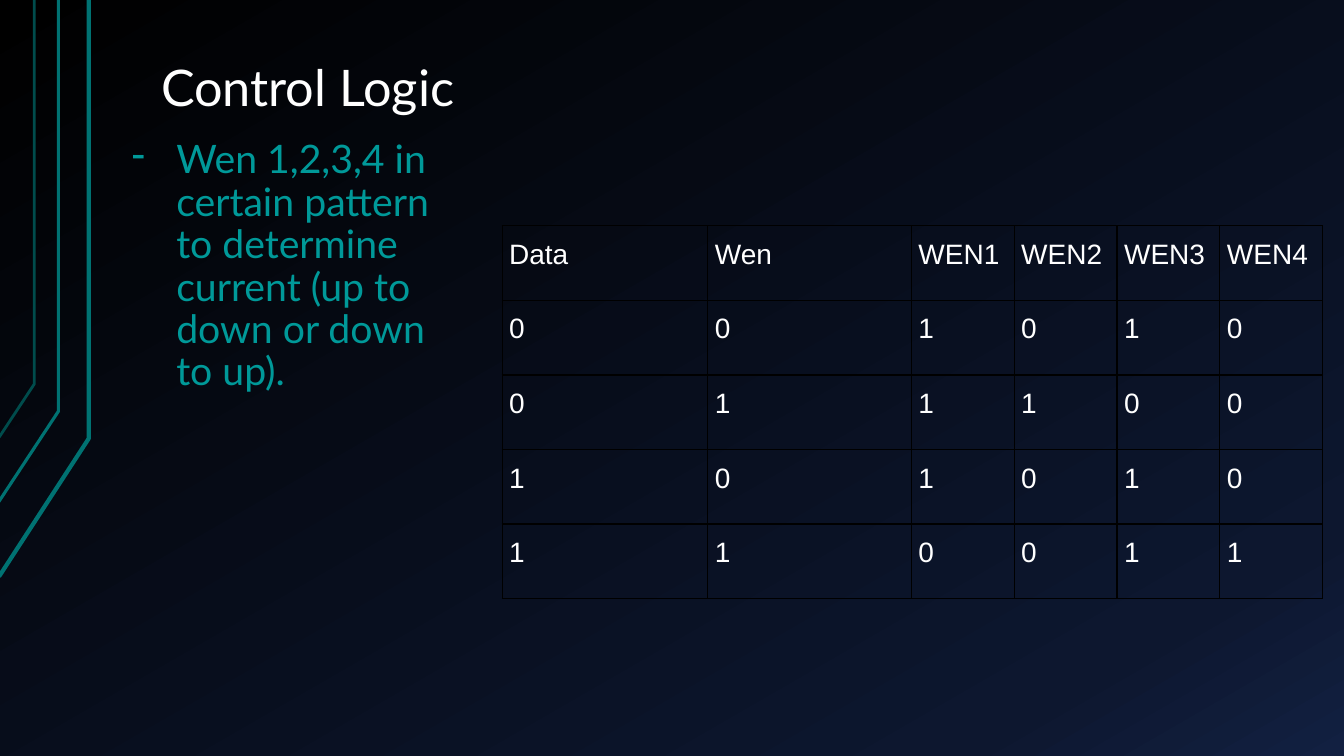
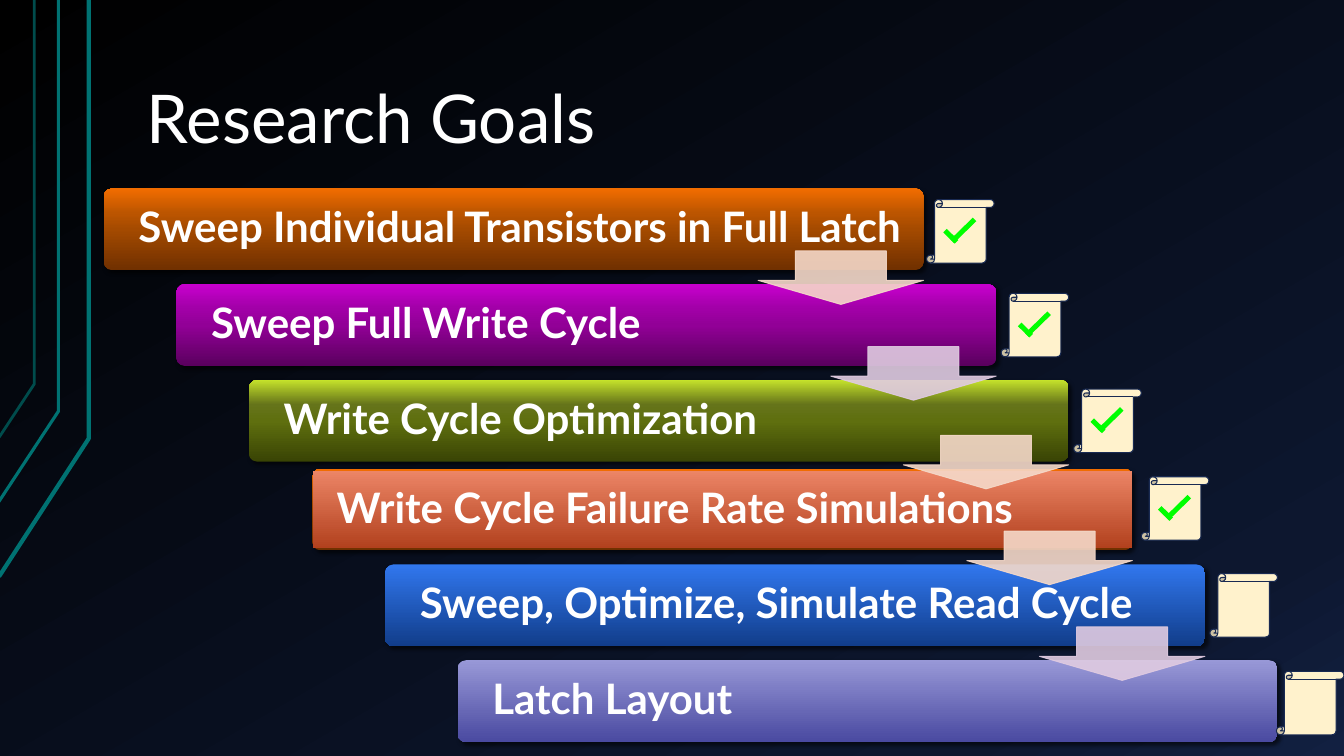
"""Build two dark slides: a control logic table and a staircase of goals."""
import lxml.etree
import pptx
import pptx.dml.color
import pptx.enum.shapes
import pptx.enum.text
import pptx.oxml.ns
import pptx.util

RGB = pptx.dml.color.RGBColor
KIND = pptx.enum.shapes.MSO_SHAPE
ANCHOR = pptx.enum.text.MSO_ANCHOR
ALIGN = pptx.enum.text.PP_ALIGN

WHITE = RGB(0xFF, 0xFF, 0xFF)
BLACK = RGB(0x00, 0x00, 0x00)
NAVY = RGB(0x0D, 0x17, 0x2F)
BLUE = RGB(0x12, 0x20, 0x41)
TEAL = RGB(0x00, 0x99, 0x99)
RAIL = RGB(0x00, 0x72, 0x72)
DIM = RGB(0x00, 0x4C, 0x4C)
PEACH = RGB(0xF5, 0xD9, 0xC9)
LILAC = RGB(0xE0, 0xCB, 0xE1)
PAPER = RGB(0xFF, 0xF2, 0xCC)
INK = RGB(0x19, 0x2A, 0x52)
GREEN = RGB(0x00, 0xFF, 0x00)

NIGHT = ((0, BLACK), (85, NAVY), (100, BLUE))
ORANGE = ((0, RGB(0x70, 0x30, 0x00)), (50, RGB(0xA4, 0x4A, 0x00)),
          (70, RGB(0xBC, 0x55, 0x00)), (100, RGB(0xF2, 0x6D, 0x00)))
PURPLE = ((0, RGB(0x5A, 0x00, 0x5E)), (50, RGB(0x92, 0x00, 0x97)),
          (70, RGB(0xA1, 0x00, 0xA7)), (100, RGB(0xC8, 0x00, 0xCE)))
OLIVE = ((0, RGB(0x39, 0x44, 0x04)), (50, RGB(0x5F, 0x6F, 0x0F)),
         (70, RGB(0x65, 0x74, 0x1A)), (100, RGB(0xC5, 0xE2, 0x2B)))
CORAL = ((0, RGB(0xEC, 0x85, 0x66)), (100, RGB(0xB2, 0x41, 0x1E)))
AZURE = ((0, RGB(0x31, 0x77, 0xEE)), (100, RGB(0x11, 0x3D, 0x8A)))
VIOLET = ((0, RGB(0x98, 0x98, 0xD7)), (100, RGB(0x4A, 0x4A, 0xA1)))

RAILS = (
    (((-1, 572), (88, 435), (88, 0)), RAIL, 3),
    (((-2, 499), (58, 408), (58, 0)), RAIL, 2.25),
    (((-1, 434), (34, 381), (34, 0)), DIM, 2),
)
LOGIC = (
    ("Data", "Wen", "WEN1", "WEN2", "WEN3", "WEN4"),
    "001010",
    "011100",
    "101010",
    "110011",
)
GOALS = (
    ("Sweep Individual Transistors in Full Latch", ORANGE, 270, (919, 198), True),
    ("Sweep Full Write Cycle", PURPLE, 270, (993, 291), True),
    ("Write Cycle Optimization", OLIVE, 270, (1065, 386), True),
    ("Write Cycle Failure Rate Simulations", CORAL, 90, (1132, 473), True),
    ("Sweep, Optimize, Simulate Read Cycle", AZURE, 90, (1200, 569), False),
    ("Latch Layout", VIOLET, 90, (1266, 666), False),
)
STAIRS = [(x + 72 * i, y + 95 * i) for x, y in ((103, 187), (310, 465)) for i in range(3)]
ARROWS = (PEACH, LILAC, PEACH, PEACH, LILAC)
BAR_W, BAR_H = 813, 81
ARROW_W, ARROW_H = 164, 53


def px(size):
    """Turn px into EMU at 100 px to the inch."""
    return pptx.util.Emu(size * 9144)


def node(up, tag, **attrs):
    """Append a drawing element with the given attributes."""
    made = lxml.etree.SubElement(up, pptx.oxml.ns.qn("a:" + tag))
    for key, value in attrs.items():
        made.set(key, str(value))
    return made


def fade(fill, root, stops, angle):
    """Give a fill a linear gradient with a clockwise angle."""
    fill.gradient()
    grad = next(root.iter(pptx.oxml.ns.qn("a:gradFill")))
    marks = grad.find(pptx.oxml.ns.qn("a:gsLst"))
    marks.clear()
    for place, color in stops:
        node(node(marks, "gs", pos=place * 1000), "srgbClr", val=color)
    grad.find(pptx.oxml.ns.qn("a:lin")).set("ang", str(angle * 60000))


class Deck:
    """Hold the deck style and the current slide."""

    def __init__(self):
        """Start an empty wide deck."""
        self.show = pptx.Presentation()
        self.show.slide_width = px(1333)
        self.show.slide_height = px(750)
        self.slide = None

    def page(self):
        """Add a slide with the night backdrop and the rails."""
        self.slide = self.show.slides.add_slide(self.show.slide_layouts[6])
        fade(self.slide.background.fill, self.slide.element, NIGHT, 60)
        for points, color, width in RAILS:
            spots = [(px(x), px(y)) for x, y in points]
            pen = self.slide.shapes.build_freeform(*spots[0])
            pen.add_line_segments(spots[1:], close=False)
            rail = pen.convert_to_shape()
            rail.shadow.inherit = False
            rail.fill.background()
            rail.line.color.rgb = color
            rail.line.width = pptx.util.Pt(width)

    def style(self, par, size, color=WHITE, font="Lato", bold=False, lead=0.9):
        """Format a paragraph and its runs."""
        par.alignment = ALIGN.LEFT
        par.line_spacing = lead
        for run in par.runs:
            run.font.name = font
            run.font.size = pptx.util.Pt(size)
            run.font.bold = bold
            run.font.color.rgb = color

    def label(self, frame, text, anchor, pad):
        """Fill a text frame and return its paragraph."""
        frame.word_wrap = True
        frame.vertical_anchor = anchor
        frame.margin_left, frame.margin_top, frame.margin_right, frame.margin_bottom = map(px, pad)
        frame.text = text
        return frame.paragraphs[0]

    def title(self, text, x, y, h, size):
        """Add a title that rests on the bottom of its box."""
        box = self.slide.shapes.add_textbox(px(x), px(y), px(1133), px(h))
        self.style(self.label(box.text_frame, text, ANCHOR.BOTTOM, (10, 10, 10, 10)), size)

    def bullet(self, text, x, y, w, h):
        """Add a dashed point."""
        box = self.slide.shapes.add_textbox(px(x), px(y), px(w), px(h))
        par = self.label(box.text_frame, text, ANCHOR.TOP, (10, 10, 10, 10))
        props = par._p.get_or_add_pPr()
        props.set("marL", str(px(50)))
        props.set("indent", str(px(-44)))
        node(node(props, "buClr"), "srgbClr", val=TEAL)
        node(props, "buChar", char="-")
        self.style(par, 28, TEAL)

    def table(self, rows, x, y, widths, h):
        """Add a clear table with black rules."""
        frame = self.slide.shapes.add_table(
            len(rows), len(widths), px(x), px(y), px(sum(widths)), px(h * len(rows)))
        grid = frame.table
        grid.first_row = grid.horz_banding = False
        for col, width in zip(grid.columns, widths):
            col.width = px(width)
        for row, texts in zip(grid.rows, rows):
            row.height = px(h)
            for cell, text in zip(row.cells, texts):
                self.cell(cell, text)

    def cell(self, cell, text):
        """Fill one table cell and rule its sides."""
        cell.text = text
        cell.margin_left = cell.margin_right = cell.margin_top = cell.margin_bottom = px(7)
        self.style(cell.text_frame.paragraphs[0], 20, font="Arial", lead=1.2)
        props = cell._tc.get_or_add_tcPr()
        for side in ("lnL", "lnR", "lnT", "lnB"):
            line = node(props, side, w=pptx.util.Pt(1))
            node(node(line, "solidFill"), "srgbClr", val=BLACK)
        cell.fill.background()

    def shape(self, kind, x, y, w, h, color=None, line=None, turn=0):
        """Add a preset shape with a plain fill and line."""
        form = self.slide.shapes.add_shape(kind, px(x), px(y), px(w), px(h))
        form.shadow.inherit = False
        form.rotation = turn
        if color is not None:
            form.fill.solid()
            form.fill.fore_color.rgb = color
        if line is None:
            form.line.fill.background()
        else:
            form.line.color.rgb = line
            form.line.width = pptx.util.Pt(0.75)
        return form

    def bar(self, x, y, stops, angle):
        """Add a rounded bar with a soft shadow."""
        form = self.shape(KIND.ROUNDED_RECTANGLE, x, y, BAR_W, BAR_H)
        form.adjustments[0] = 0.1
        fade(form.fill, form.element, stops, angle)
        glow = form.element.spPr.find(pptx.oxml.ns.qn("a:effectLst"))
        cast = node(glow, "outerShdw", blurRad=pptx.util.Pt(3), dist=pptx.util.Pt(2),
                    dir=45 * 60000, algn="ctr", rotWithShape=0)
        node(node(cast, "srgbClr", val=BLACK), "alpha", val=60000)
        return form

    def goal(self, x, y, text, stops, angle):
        """Add a goal bar, with a square plate over it for coral."""
        if stops is CORAL:
            self.bar(x, y, ORANGE, 270)
            form = self.shape(KIND.RECTANGLE, x, y + 2, BAR_W, BAR_H - 4)
            fade(form.fill, form.element, stops, angle)
            left = 24
        else:
            form = self.bar(x, y, stops, angle)
            left = 32
        par = self.label(form.text_frame, text, ANCHOR.MIDDLE, (left, 0, 0, 0))
        self.style(par, 30, bold=True)

    def arrow(self, x, y, color):
        """Add a slightly clear down arrow."""
        form = self.shape(KIND.DOWN_ARROW, x, y, ARROW_W, ARROW_H, color, color)
        form.adjustments[0], form.adjustments[1] = 0.55, 0.45
        for tint in form.element.spPr.iter(pptx.oxml.ns.qn("a:srgbClr")):
            node(tint, "alpha", val=90000)

    def scroll(self, x, y, done):
        """Add a paper scroll, ticked when done."""
        self.shape(KIND.VERTICAL_SCROLL, x, y, 67, 63, PAPER, INK)
        if done:
            self.shape(KIND.RECTANGLE, x + 16, y + 34, 16, 5, GREEN, turn=44.3)
            self.shape(KIND.RECTANGLE, x + 21, y + 28, 31, 5, GREEN, turn=135.7)


def main():
    """Build and save the deck."""
    deck = Deck()

    deck.page()
    deck.title("Control Logic", 150, 47, 80, 36)
    deck.bullet("Wen 1,2,3,4 in certain pattern to determine current (up to down or down to up).",
                115, 129, 349, 437)
    deck.table(LOGIC, 498, 224, (204, 202, 102, 102, 102, 102), 74)

    deck.page()
    deck.title("Research Goals", 136, 33, 134, 48)
    for (x, y), (text, stops, angle, _, _) in zip(STAIRS, GOALS):
        deck.goal(x, y, text, stops, angle)
    for (x, _), (_, below), color in zip(STAIRS, STAIRS[1:], ARROWS):
        deck.arrow(x + BAR_W - ARROW_W, below - 33, color)
    for _, _, _, spot, done in GOALS:
        deck.scroll(*spot, done)

    deck.show.save("out.pptx")


if __name__ == "__main__":
    main()
